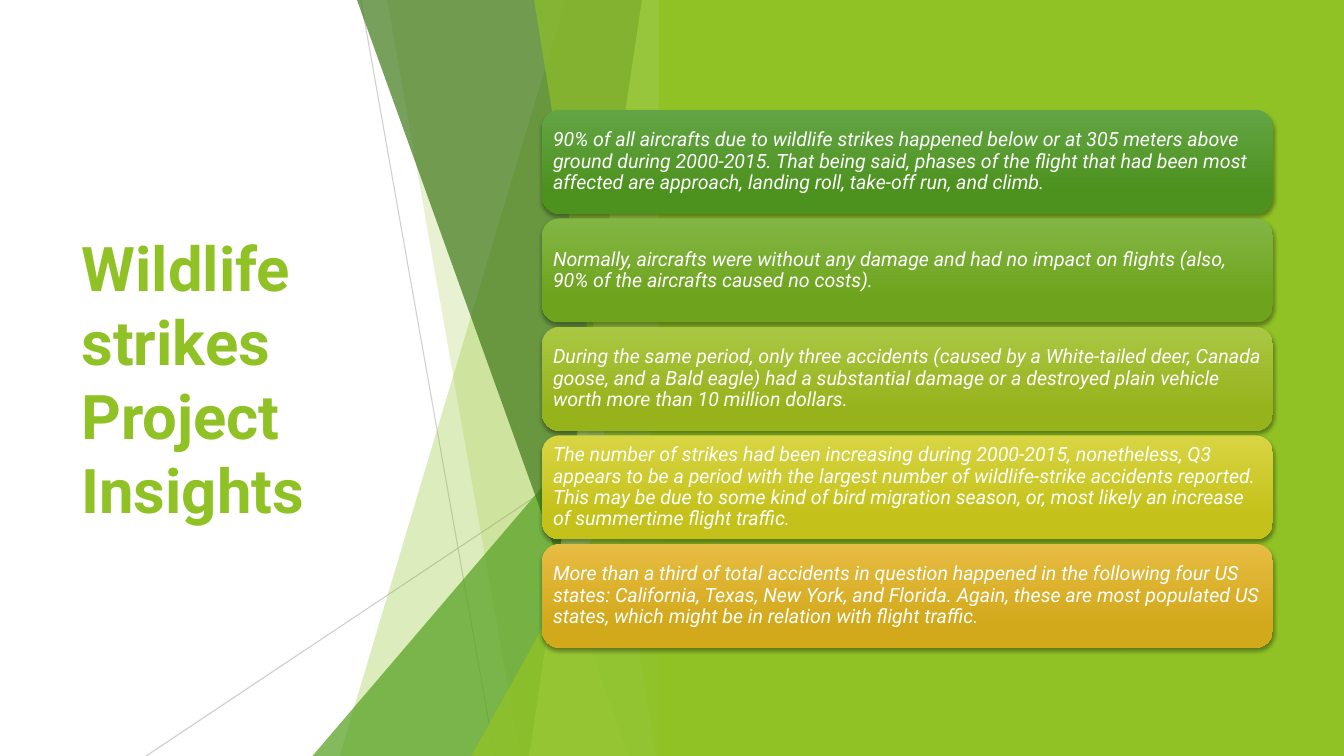
"""Builds the wildlife strikes insights slide."""
from lxml import etree
from pptx import Presentation
from pptx.dml.color import RGBColor
from pptx.enum.shapes import MSO_CONNECTOR, MSO_SHAPE
from pptx.enum.text import MSO_ANCHOR, MSO_AUTO_SIZE, PP_ALIGN
from pptx.oxml.ns import qn
from pptx.util import Pt

STRAIGHT = MSO_CONNECTOR.STRAIGHT
TRIANGLE = MSO_SHAPE.ISOSCELES_TRIANGLE
RECTANGLE = MSO_SHAPE.RECTANGLE
ROUNDED = MSO_SHAPE.ROUNDED_RECTANGLE
MIDDLE = MSO_ANCHOR.MIDDLE
NO_AUTOFIT = MSO_AUTO_SIZE.NONE
LEFT = PP_ALIGN.LEFT

WIDTH, HEIGHT = 960, 540
FACET_RIGHT = 479.5
LIME, GREEN, FOREST, PALE = "90C226", "54A021", "3F7819", "C0E474"
WHITE, GREY = "FFFFFF", "BFBFBF"


def rgb(value):
    return RGBColor.from_string(value)


def set_alpha(element, percent):
    for color in element.iter(qn("a:srgbClr")):
        etree.SubElement(color, qn("a:alpha"), val=str(percent * 1000))


class InsightSlide:
    font = "Roboto"

    def __init__(self, deck):
        self.slide = deck.slides.add_slide(deck.slide_layouts[5])
        self.shapes = self.slide.shapes

    def fill_text(self, frame, text, size, color, inset_x, inset_y, bold=False, italic=False):
        frame.word_wrap = True
        frame.auto_size = NO_AUTOFIT
        frame.vertical_anchor = MIDDLE
        frame.margin_left = frame.margin_right = Pt(inset_x)
        frame.margin_top = frame.margin_bottom = Pt(inset_y)
        paragraph = frame.paragraphs[0]
        paragraph.alignment = LEFT
        run = paragraph.add_run()
        run.text = text
        run.font.name = self.font
        run.font.size = Pt(size)
        run.font.bold, run.font.italic = bold, italic
        run.font.color.rgb = rgb(color)
        return paragraph

    def title(self, text, left, top, width, height):
        heading = self.shapes.title
        heading.left, heading.top = Pt(left), Pt(top)
        heading.width, heading.height = Pt(width), Pt(height)
        paragraph = self.fill_text(heading.text_frame, text, 44, LIME, 7.2, 3.6, bold=True)
        paragraph.space_before, paragraph.space_after = Pt(0), Pt(6)

    def line(self, start, end, opacity):
        ray = self.shapes.add_connector(STRAIGHT, *map(Pt, start + end))
        ray.line.color.rgb = rgb(GREY)
        ray.line.width = Pt(0.75)
        properties = ray.element.spPr
        set_alpha(properties, opacity)
        etree.SubElement(properties, qn("a:effectLst"))

    def paint(self, shape, color, opacity=100):
        shape.shadow.inherit = False
        shape.line.fill.background()
        shape.fill.solid()
        shape.fill.fore_color.rgb = rgb(color)
        if opacity < 100:
            set_alpha(shape.element.spPr, opacity)

    def facet(self, top_x, bottom_x, color, opacity):
        builder = self.shapes.build_freeform(Pt(top_x), 0, scale=1.0)
        corners = [(FACET_RIGHT, 0), (FACET_RIGHT, HEIGHT), (bottom_x, HEIGHT)]
        builder.add_line_segments([(Pt(x), Pt(y)) for x, y in corners], close=True)
        self.paint(builder.convert_to_shape(), color, opacity)

    def wedge(self, left, top, color, opacity):
        box = left, top, FACET_RIGHT - left, HEIGHT - top
        wedge = self.shapes.add_shape(TRIANGLE, *map(Pt, box))
        wedge.adjustments[0] = 1
        self.paint(wedge, color, opacity)

    def panel(self, left, top, width, height, color):
        panel = self.shapes.add_shape(RECTANGLE, *map(Pt, (left, top, width, height)))
        self.paint(panel, color)

    def card(self, left, top, width, height, text, light, dark):
        card = self.shapes.add_shape(ROUNDED, *map(Pt, (left, top, width, height)))
        card.line.fill.background()
        card.fill.gradient()
        card.fill.gradient_angle = 270
        for stop, color, position in zip(card.fill.gradient_stops, (light, dark), (0, 0.78)):
            stop.color.rgb = rgb(color)
            stop.position = position
        card.shadow.inherit = False
        effects = card.element.spPr.find(qn("a:effectLst"))
        shadow = etree.SubElement(effects, qn("a:outerShdw"), blurRad=str(Pt(3)),
                                  dist=str(Pt(2)), dir="5400000", rotWithShape="0")
        etree.SubElement(shadow, qn("a:srgbClr"), val="000000")
        set_alpha(shadow, 35)
        paragraph = self.fill_text(card.text_frame, text, 14, WHITE, 4.2, 4.2, italic=True)
        paragraph.line_spacing = 0.9


INSIGHTS = [
    ("90% of all aircrafts due to wildlife strikes happened below or at 305 meters above "
     "ground during 2000-2015. That being said, phases of the flight that had been most "
     "affected are approach, landing roll, take-off run, and climb.", "63A545", "4D921E"),
    ("Normally, aircrafts were without any damage and had no impact on flights (also, "
     "90% of the aircrafts caused no costs).", "82B644", "6EA31D"),
    ("During the same period, only three accidents (caused by a White-tailed deer, Canada "
     "goose, and a Bald eagle) had a substantial damage or a destroyed plain vehicle "
     "worth more than 10 million dollars.", "AAC744", "97B31C"),
    ("The number of strikes had been increasing during 2000-2015, nonetheless, Q3 "
     "appears to be a period with the largest number of wildlife-strike accidents reported. "
     "This may be due to some kind of bird migration season, or, most likely an increase "
     "of summertime flight traffic.", "D8D543", "C4C11A"),
    ("More than a third of total accidents in question happened in the following four US "
     "states: California, Texas, New York, and Florida. Again, these are most populated US "
     "states, which might be in relation with flight traffic.", "E7BC43", "D2A91B"),
]
CARD_TOP, CARD_PITCH = 78.5, 77.5

deck = Presentation()
deck.slide_width, deck.slide_height = Pt(WIDTH), Pt(HEIGHT)
page = InsightSlide(deck)
page.title("Wildlife strikes Project Insights", 51, 108.7, 279.4, 322.6)

page.line((257.8, 0), (353.5, HEIGHT), 75)
page.line((FACET_RIGHT, 290), (104.4, HEIGHT), 80)
page.facet(404, 242.6, LIME, 30)
page.facet(276.5, 371.5, LIME, 20)
page.wedge(223.2, 240, GREEN, 72)
page.facet(255, 449.3, FOREST, 70)
page.facet(458.5, 378, PALE, 70)
page.facet(381.5, 468.8, LIME, 65)
page.wedge(336.7, 283, LIME, 80)
page.panel(470.7, 0, WIDTH - 470.7, HEIGHT, LIME)

for row, (insight, light, dark) in enumerate(INSIGHTS):
    page.card(387.2, CARD_TOP + row * CARD_PITCH, 522, 74.2, insight, light, dark)

deck.save("out.pptx")
